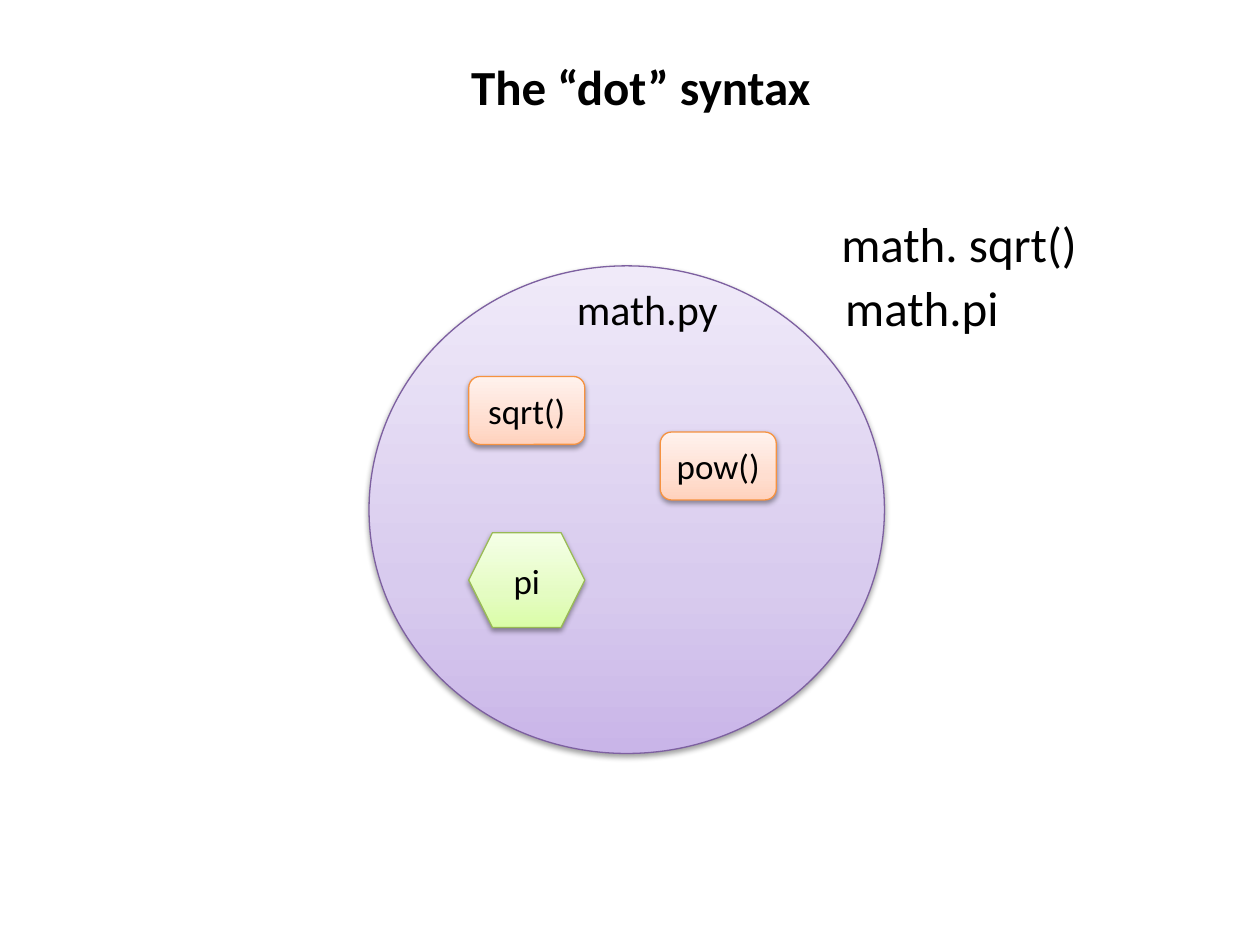
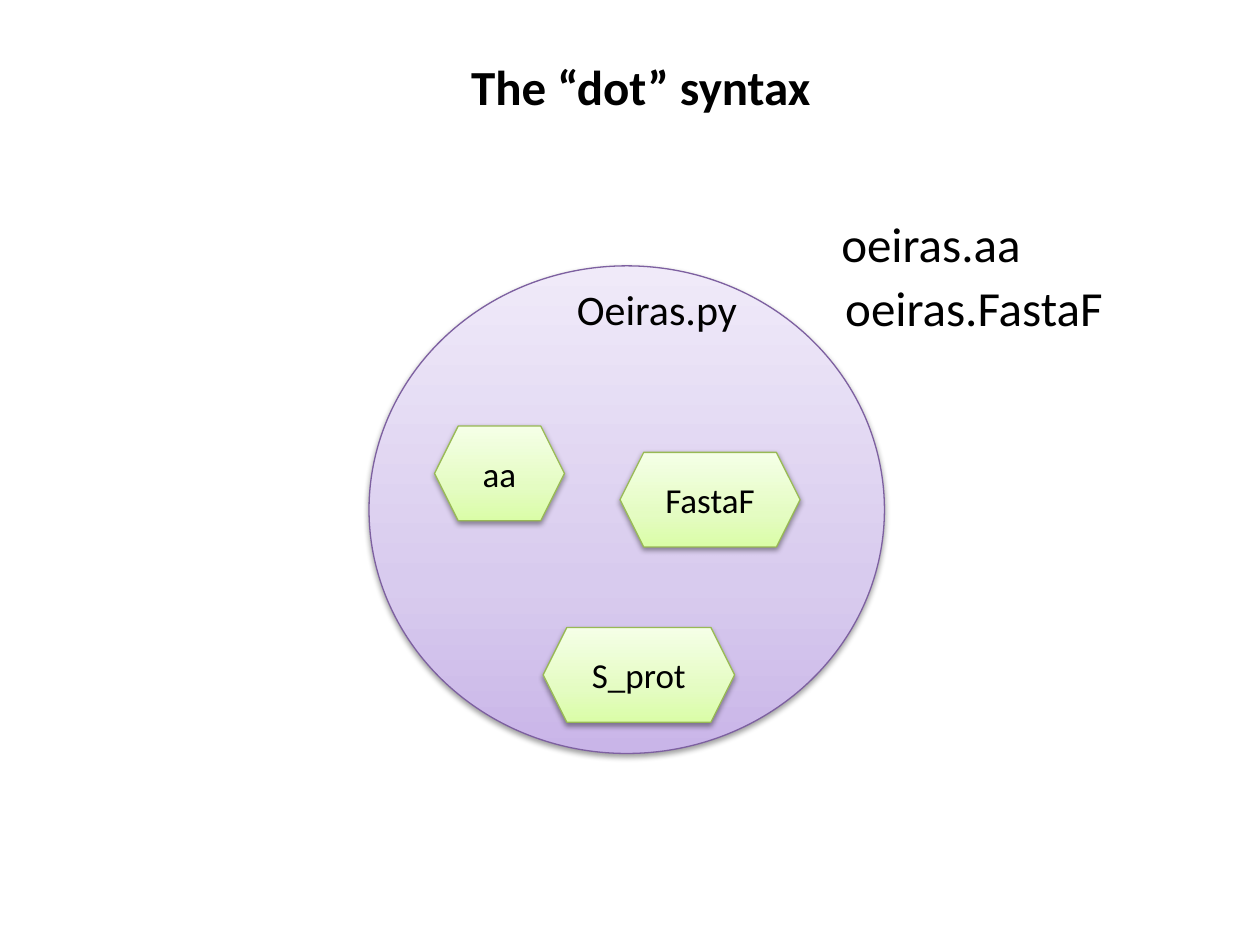
from lxml.etree import SubElement
from pptx import Presentation
from pptx.dml.color import RGBColor
from pptx.enum.shapes import MSO_SHAPE as Shape
from pptx.enum.text import MSO_ANCHOR as Anchor, MSO_AUTO_SIZE as AutoSize, PP_ALIGN as Align
from pptx.oxml.ns import qn
from pptx.util import Cm, Pt

# Shared style: each theme is a line colour and its gradient, bottom to top
FONT = "Calibri"
BLACK = "000000"
PURPLE = ("7D60A0", ("C9B5E8", "D8CBEE", "F0EAF9"))
ORANGE = ("F69240", ("FFD2BD", "FFDED0", "FFF2ED"))
GREEN = ("98B955", ("DAFDA7", "E4FCC2", "F5FFE7"))
STOP_POSITIONS = (0, 35, 100)


def color(hex_string):
    return RGBColor.from_string(hex_string)


class Deck:
    """Holds the presentation, its style and the current slide."""

    def __init__(self):
        self.presentation = Presentation()
        self.presentation.slide_width = Cm(25.4)
        self.presentation.slide_height = Cm(19.05)
        self.slide = None

    def new_slide(self):
        blank = self.presentation.slide_layouts[6]
        self.slide = self.presentation.slides.add_slide(blank)
        self.label("The “dot” syntax", 9.25, 1.02, 7.42, bold=True)

    def add_text(self, paragraph, text, size, bold=False):
        run = paragraph.add_run()
        run.text = text
        run.font.name = FONT
        run.font.size = Pt(size)
        run.font.bold = bold
        run.font.color.rgb = color(BLACK)

    def label(self, text, left, top, width, height=1.45, size=28, bold=False):
        box = self.slide.shapes.add_textbox(Cm(left), Cm(top), Cm(width), Cm(height))
        frame = box.text_frame
        frame.word_wrap = False
        frame.auto_size = AutoSize.SHAPE_TO_FIT_TEXT
        self.add_text(frame.paragraphs[0], text, size, bold)

    def gradient(self, shape, colors):
        shape.fill.gradient()
        shape.fill.gradient_angle = 90
        stops = shape._element.spPr.find(".//" + qn("a:gsLst"))
        for stop in list(stops):
            stops.remove(stop)
        for position, stop_color in zip(STOP_POSITIONS, colors):
            stop = SubElement(stops, qn("a:gs"), pos=str(position * 1000))
            SubElement(stop, qn("a:srgbClr"), val=stop_color)

    def shadow(self, shape):
        shape.shadow.inherit = False
        effects = shape._element.spPr.find(qn("a:effectLst"))
        outer = SubElement(effects, qn("a:outerShdw"), blurRad="40000", dist="20000",
                           dir="5400000", rotWithShape="0")
        shade = SubElement(outer, qn("a:srgbClr"), val=BLACK)
        SubElement(shade, qn("a:alpha"), val="38000")

    def figure(self, kind, theme, left, top, width, height, text=""):
        line_color, fill_colors = theme
        shape = self.slide.shapes.add_shape(kind, Cm(left), Cm(top), Cm(width), Cm(height))
        self.gradient(shape, fill_colors)
        shape.line.color.rgb = color(line_color)
        shape.line.width = Pt(0.75)
        self.shadow(shape)
        if text:
            frame = shape.text_frame
            frame.vertical_anchor = Anchor.MIDDLE
            paragraph = frame.paragraphs[0]
            paragraph.alignment = Align.CENTER
            self.add_text(paragraph, text, 20)

    def module(self, name, width):
        self.figure(Shape.OVAL, PURPLE, 7.44, 5.36, 10.39, 9.83)
        self.label(name, 11.38, 5.59, width, height=1.27, size=24)

    def function(self, name, left, top):
        self.figure(Shape.ROUNDED_RECTANGLE, ORANGE, left, top, 2.34, 1.37, name)

    def variable(self, name, left, top, width):
        self.figure(Shape.HEXAGON, GREEN, left, top, width, 1.91, name)

    def usages(self, first, first_width, second, second_width):
        self.label(first, 16.71, 4.17, first_width)
        self.label(second, 16.79, 5.46, second_width)


def main():
    deck = Deck()

    # Slide 1: a standard module
    deck.new_slide()
    deck.module("math.py", 3.4)
    deck.function("sqrt()", 9.45, 7.59)
    deck.function("pow()", 13.31, 8.71)
    deck.variable("pi", 9.45, 10.74, 2.34)
    deck.usages("math. sqrt()", 5.31, "math.pi", 3.63)

    # Slide 2: a module of one's own
    deck.new_slide()
    deck.module("Oeiras.py", 3.78)
    deck.variable("S_prot", 10.95, 12.65, 3.86)
    deck.variable("aa", 8.76, 8.59, 2.62)
    deck.variable("FastaF", 12.5, 9.12, 3.63)
    deck.usages("oeiras.aa", 4.17, "oeiras.FastaF", 5.77)

    deck.presentation.save("out.pptx")


if __name__ == "__main__":
    main()
